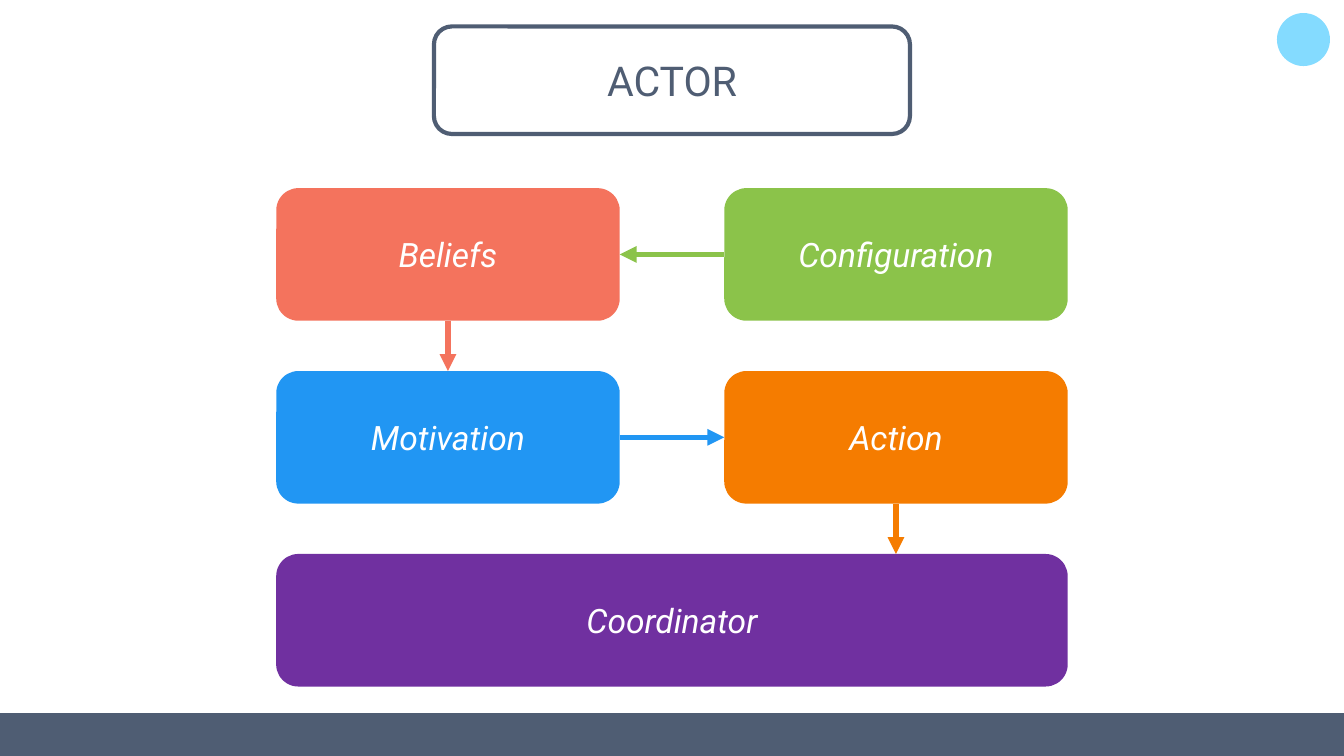
from dataclasses import dataclass

import pptx
import pptx.dml.color
import pptx.enum.dml
import pptx.enum.shapes
import pptx.enum.text
import pptx.oxml
import pptx.oxml.ns
import pptx.util

Pt = pptx.util.Pt
SHAPES = pptx.enum.shapes.MSO_SHAPE
TOP, LEFT, BOTTOM, RIGHT = range(4)


@dataclass(frozen=True)
class Theme:
    font: str = "Roboto"
    title_size: int = 22
    label_size: int = 18
    frame_width: float = 2.25
    arrow_width: float = 3
    slate: str = "4F5D73"
    white: str = "FFFFFF"
    sky: str = "84DBFF"
    coral: str = "F4735D"
    green: str = "8BC34A"
    blue: str = "2196F3"
    orange: str = "F57C00"
    purple: str = "7030A0"


THEME = Theme()


def rgb(color):
    return pptx.dml.color.RGBColor.from_string(color)


def write_centred(holder, words, size, color, italic=False):
    frame = holder.text_frame
    frame.word_wrap = True
    frame.auto_size = pptx.enum.text.MSO_AUTO_SIZE.NONE
    frame.vertical_anchor = pptx.enum.text.MSO_ANCHOR.MIDDLE
    paragraph = frame.paragraphs[0]
    paragraph.alignment = pptx.enum.text.PP_ALIGN.CENTER
    run = paragraph.add_run()
    run.text = words
    run.font.name = THEME.font
    run.font.size = Pt(size)
    run.font.italic = italic
    run.font.color.rgb = rgb(color)


def add_filled(slide, preset, box, color):
    shape = slide.shapes.add_shape(preset, *map(Pt, box))
    shape.shadow.inherit = False
    shape.fill.solid()
    shape.fill.fore_color.rgb = rgb(color)
    shape.line.fill.background()
    return shape


def add_block(slide, box, words, color):
    block = add_filled(slide, SHAPES.ROUNDED_RECTANGLE, box, color)
    write_centred(block, words, THEME.label_size, THEME.white, italic=True)
    return block


def add_arrow(slide, source, source_side, target, target_side, color):
    """Arrow from a side of source to a side of target, or straight to a point."""
    arrow = slide.shapes.add_connector(
        pptx.enum.shapes.MSO_CONNECTOR.STRAIGHT, 0, 0, 0, 0)
    arrow.begin_connect(source, source_side)
    if isinstance(target, tuple):
        arrow.end_x, arrow.end_y = target
    else:
        arrow.end_connect(target, target_side)
    arrow.line.width = Pt(THEME.arrow_width)
    arrow.line.color.rgb = rgb(color)
    qn = pptx.oxml.ns.qn
    properties = arrow.line.color and arrow._element.spPr
    head = properties.find(qn("a:ln")).makeelement(qn("a:tailEnd"), {"type": "triangle"})
    properties.find(qn("a:ln")).append(head)
    properties.append(properties.makeelement(qn("a:effectLst"), {}))


def add_title(slide, box):
    # Rounded outline around the title placeholder
    outline = add_filled(slide, SHAPES.ROUNDED_RECTANGLE, box, THEME.white)
    outline.fill.background()
    outline.line.color.rgb = rgb(THEME.slate)
    outline.line.width = Pt(THEME.frame_width)

    title = slide.shapes.title
    title.left, title.top, title.width, title.height = map(Pt, box)
    write_centred(title, "ACTOR", THEME.title_size, THEME.slate)


def add_flow(slide, box):
    left, top, width, height = box
    column_gap, row_gap = 56, 27
    block_width = (width - column_gap) / 2
    block_height = (height - 2 * row_gap) / 3

    def cell(row, column, cell_width=block_width):
        return (left + column * (block_width + column_gap),
                top + row * (block_height + row_gap),
                cell_width, block_height)

    # Blocks
    beliefs = add_block(slide, cell(0, 0), "Beliefs", THEME.coral)
    configuration = add_block(slide, cell(0, 1), "Configuration", THEME.green)
    motivation = add_block(slide, cell(1, 0), "Motivation", THEME.blue)
    action = add_block(slide, cell(1, 1), "Action", THEME.orange)
    coordinator = add_block(slide, cell(2, 0, width), "Coordinator", THEME.purple)

    # Arrows, each in the colour of the block it leaves
    below_action = (action.left + action.width // 2, coordinator.top)
    add_arrow(slide, configuration, LEFT, beliefs, RIGHT, THEME.green)
    add_arrow(slide, beliefs, BOTTOM, motivation, TOP, THEME.coral)
    add_arrow(slide, motivation, RIGHT, action, LEFT, THEME.blue)
    add_arrow(slide, action, BOTTOM, below_action, None, THEME.orange)


def add_decor(slide, box):
    left, top, width, height = box
    dot, margin, footer = 28.4, 7.5, 23
    add_filled(slide, SHAPES.OVAL,
               (left + width - margin - dot, top + margin - 0.5, dot, dot), THEME.sky)
    add_filled(slide, SHAPES.RECTANGLE,
               (left, top + height - footer, width, footer), THEME.slate)


def main():
    width, height = 720, 405
    deck = pptx.Presentation()
    deck.slide_width, deck.slide_height = Pt(width), Pt(height)
    slide = deck.slides.add_slide(deck.slide_layouts[5])
    slide.background.fill.solid()
    slide.background.fill.fore_color.rgb = rgb(THEME.white)

    add_decor(slide, (0, 0, width, height))
    add_flow(slide, (148, 100.8, 424, 267))
    add_title(slide, (232.5, 14.2, 255, 57.6))
    deck.save("out.pptx")


if __name__ == "__main__":
    main()
